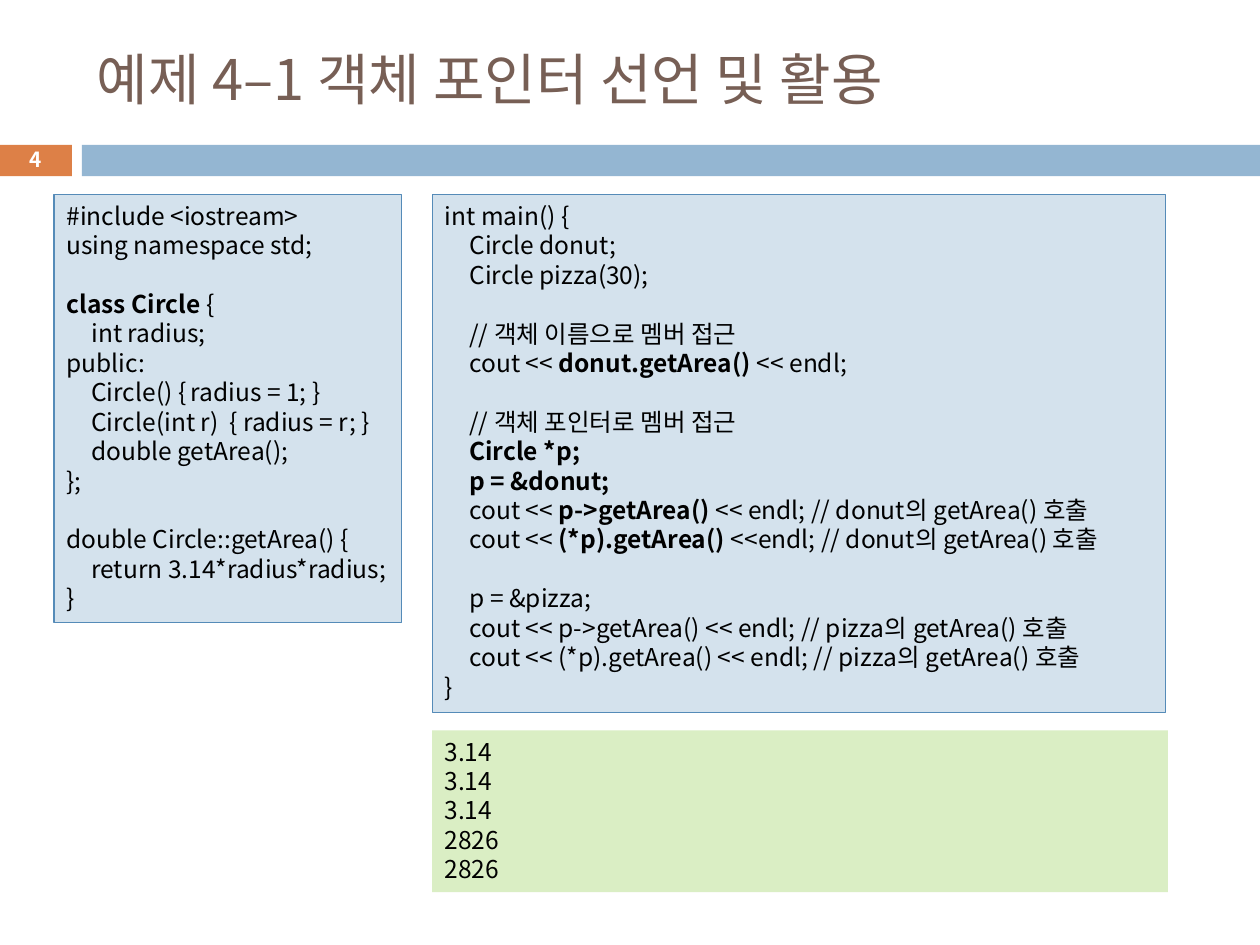
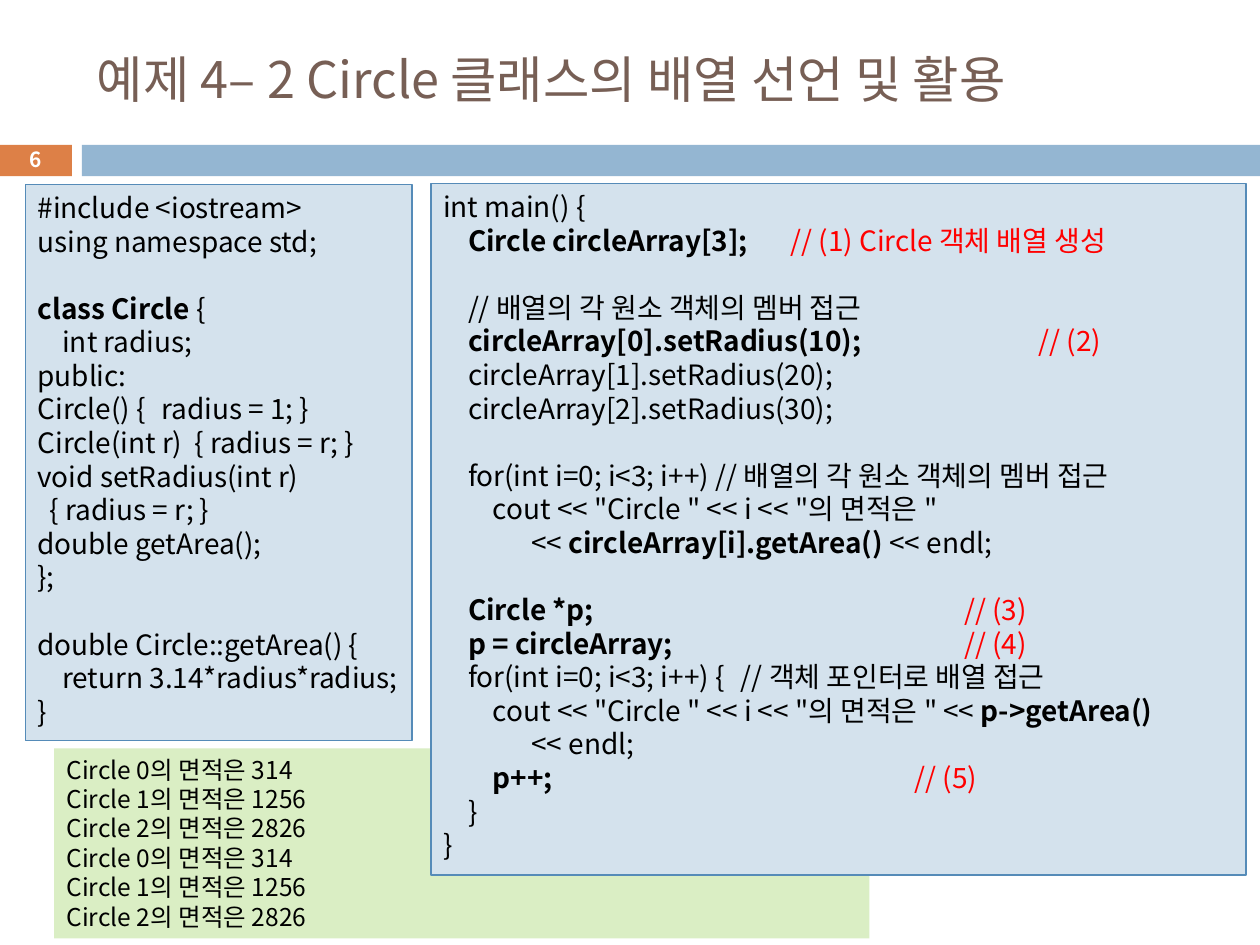
"""Builds two slides of C++ examples: object pointers and object arrays."""
from collections import namedtuple

from lxml import etree
from pptx import Presentation
from pptx import util as u
from pptx.dml.color import RGBColor
from pptx.enum import shapes, text
from pptx.oxml.ns import qn

WIDTH, HEIGHT = u.Inches(10), u.Inches(7.5)
FONT = "Noto Sans CJK KR"
TAB = u.Cm(0.5)
INDENTS = (1, 2)
LEADING = 1.2

WHITE = RGBColor(0xFF, 0xFF, 0xFF)
BLACK = RGBColor(0x00, 0x00, 0x00)
RED = RGBColor(0xFF, 0x00, 0x00)
BROWN = RGBColor(0x77, 0x5F, 0x55)
ORANGE = RGBColor(0xDD, 0x80, 0x47)
BLUE = RGBColor(0x94, 0xB6, 0xD2)
CODE_FILL = RGBColor(0xD4, 0xE2, 0xED)
CODE_EDGE = RGBColor(0x55, 0x8B, 0xB8)
OUTPUT_FILL = RGBColor(0xDA, 0xEE, 0xC4)

Box = namedtuple("Box", "left top width height")

TITLE_BOX = Box(6.7, 3.33, 89.2, 9.87)
NUMBER_BAND = Box(-0.1, 15.33, 5.8, 3.33)
NUMBER_BOX = Box(-0.1, 15.07, 5.8, 3.6)
WIDE_BAND = Box(6.5, 15.33, 93.5, 3.33)

# Backticks switch bold on and off, a bar starts a red note, and numbers after a line are its tab columns.
POINTER_CLASS = [
    "#include <iostream>",
    "using namespace std;",
    "",
    "`class Circle `{",
    "\tint radius;",
    "public:",
    ("\tCircle() {\tradius = 1; }", 1, 5),
    "\tCircle(int r)  { radius = r; }",
    "\tdouble getArea();",
    "};",
    "",
    "double Circle::getArea() {",
    "\treturn 3.14*radius*radius;",
    "}",
]
POINTER_MAIN = [
    "int main() {",
    "\tCircle donut;",
    "\tCircle pizza(30);",
    "",
    "\t// 객체 이름으로 멤버 접근",
    "\tcout << `donut.getArea() `<< endl;",
    "",
    "\t// 객체 포인터로 멤버 접근",
    "\t`Circle *p;",
    "\t`p = &donut;",
    "\tcout << `p->getArea() `<< endl; // donut의 getArea() 호출",
    "\tcout << `(*p).getArea() `<<endl; // donut의 getArea() 호출",
    "",
    "\tp = &pizza;",
    "\tcout << p->getArea() << endl; // pizza의 getArea() 호출",
    "\tcout << (*p).getArea() << endl; // pizza의 getArea() 호출",
    "}",
]
POINTER_OUTPUT = ["3.14"] * 3 + ["2826"] * 2

ARRAY_CLASS = POINTER_CLASS[:6] + [
    ("Circle() {\tradius = 1; }", 5),
    "Circle(int r)  { radius = r; }",
    "void setRadius(int r)",
    ("\t{ radius = r; }", 0.5),
    "double getArea();",
] + POINTER_CLASS[9:]
ARRAY_MAIN = [
    "int main() {",
    ("\t`Circle circleArray[3]; \t|// (1) Circle 객체 배열 생성", 1, 14),
    "",
    "\t// 배열의 각 원소 객체의 멤버 접근",
    ("\t`circleArray[0].setRadius(10); \t|// (2)", 1, 24),
    "\tcircleArray[1].setRadius(20);",
    "\tcircleArray[2].setRadius(30);",
    "",
    "\tfor(int i=0; i<3; i++) // 배열의 각 원소 객체의 멤버 접근",
    '\t\tcout << "Circle " << i << "의 면적은 "',
    ("\t<< `circleArray[i].getArea() `<< endl;", 3.55),
    "",
    ("\t`Circle *p; \t|// (3)", 1, 21),
    ("\t`p = circleArray; \t|// (4)", 1, 21),
    ("\tfor(int i=0; i<3; i++) { \t// 객체 포인터로 배열 접근", 1, 12),
    '\t\tcout << "Circle " << i << "의 면적은 " << `p->getArea()',
    ("\t<< endl;", 3.55),
    ("\t\t`p++; \t|// (5)", 1, 2, 19),
    "\t}",
    "}",
]
ARRAY_OUTPUT = [f"Circle {i}의 면적은 {area}"
                for i, area in enumerate((314, 1256, 2826))] * 2


def place(box):
    """Turn a box in percent of the slide into left, top, width and height."""
    return [u.Emu(int(share * full / 100))
            for share, full in zip(box, (WIDTH, HEIGHT) * 2)]


def style(paragraph, size, color, bold=False):
    """Set the shared font, for Latin and Korean, on a whole paragraph."""
    font = paragraph.font
    font.size, font.bold, font.name = u.Pt(size), bold, FONT
    font.color.rgb = color
    defaults = paragraph._p.pPr.find(qn("a:defRPr"))
    etree.SubElement(defaults, qn("a:ea")).set("typeface", FONT)


def add_panel(slide, box, fill, edge=None):
    """Draw a flat rectangle, with a thin edge if a colour is given."""
    panel = slide.shapes.add_shape(shapes.MSO_SHAPE.RECTANGLE, *place(box))
    panel.shadow.inherit = False
    panel.fill.solid()
    panel.fill.fore_color.rgb = fill
    if edge is None:
        panel.line.fill.background()
    else:
        panel.line.color.rgb = edge
        panel.line.width = u.Pt(0.75)
    return panel


def add_label(slide, box, wording, size, color, bold=False, align=text.PP_ALIGN.LEFT):
    """Write one vertically centred line in a box."""
    frame = slide.shapes.add_textbox(*place(box)).text_frame
    frame.word_wrap = True
    frame.vertical_anchor = text.MSO_ANCHOR.MIDDLE
    label = frame.paragraphs[0]
    label.text, label.alignment = wording, align
    style(label, size, color, bold)


def set_tabs(paragraph, columns):
    """Give a paragraph left tab stops at the given columns."""
    stops = etree.SubElement(paragraph._p.get_or_add_pPr(), qn("a:tabLst"))
    for column in columns:
        etree.SubElement(stops, qn("a:tab"), pos=str(int(column * TAB)), algn="l")


def write_line(paragraph, marked):
    """Write a marked line as plain, bold and red runs."""
    code, _, note = marked.partition("|")
    for i, part in enumerate(code.split("`")):
        if part:
            run = paragraph.add_run()
            run.text = part
            if i % 2:
                run.font.bold = True
    if note:
        run = paragraph.add_run()
        run.text = note
        run.font.color.rgb = RED


def add_listing(slide, box, lines, size, fill, edge=None):
    """Fill a panel with lines; an empty line becomes space before the next."""
    frame = add_panel(slide, box, fill, edge).text_frame
    frame.word_wrap = True
    frame.margin_right = u.Inches(0.02)
    frame.vertical_anchor = text.MSO_ANCHOR.TOP
    pitch = u.Pt(size * LEADING)
    paragraph, gap = frame.paragraphs[0], 0
    for line in lines:
        if not line:
            gap = pitch
            continue
        marked, *columns = (line,) if isinstance(line, str) else line
        if paragraph is None:
            paragraph = frame.add_paragraph()
        paragraph.alignment = text.PP_ALIGN.LEFT
        paragraph.line_spacing = pitch
        paragraph.space_before = u.Emu(gap)
        set_tabs(paragraph, columns or INDENTS)
        style(paragraph, size, BLACK)
        write_line(paragraph, marked)
        paragraph, gap = None, 0


def start_slide(deck, title, title_size, number):
    """Add a blank slide with the title, bands and number."""
    slide = deck.slides.add_slide(deck.slide_layouts[6])
    add_panel(slide, NUMBER_BAND, ORANGE)
    add_panel(slide, WIDE_BAND, BLUE)
    add_label(slide, TITLE_BOX, title, title_size, BROWN)
    add_label(slide, NUMBER_BOX, str(number), 11.9, WHITE, True, text.PP_ALIGN.CENTER)
    return slide


def add_pointer_slide(deck):
    """Show how an object pointer is declared and used."""
    slide = start_slide(deck, "예제 4–1 객체 포인터 선언 및 활용", 32, 4)
    add_listing(slide, Box(34.3, 20.6, 58.2, 54.8), POINTER_MAIN, 14, CODE_FILL, CODE_EDGE)
    add_listing(slide, Box(4.3, 20.6, 27.6, 45.3), POINTER_CLASS, 14, CODE_FILL, CODE_EDGE)
    add_listing(slide, Box(34.3, 77.3, 58.4, 17.1), POINTER_OUTPUT, 14, OUTPUT_FILL)


def add_array_slide(deck):
    """Show how an array of objects is declared and used."""
    slide = start_slide(deck, "예제 4– 2 Circle 클래스의 배열 선언 및 활용", 28.8, 6)
    add_listing(slide, Box(4.3, 79.2, 64.7, 20.1), ARRAY_OUTPUT, 14, OUTPUT_FILL)
    add_listing(slide, Box(2, 19.5, 30.7, 58.9), ARRAY_CLASS, 16, CODE_FILL, CODE_EDGE)
    add_listing(slide, Box(34.2, 19.4, 64.7, 73.2), ARRAY_MAIN, 16, CODE_FILL, CODE_EDGE)


def main():
    """Build the deck and save it."""
    deck = Presentation()
    deck.slide_width, deck.slide_height = WIDTH, HEIGHT
    add_pointer_slide(deck)
    add_array_slide(deck)
    deck.save("out.pptx")


if __name__ == "__main__":
    main()
